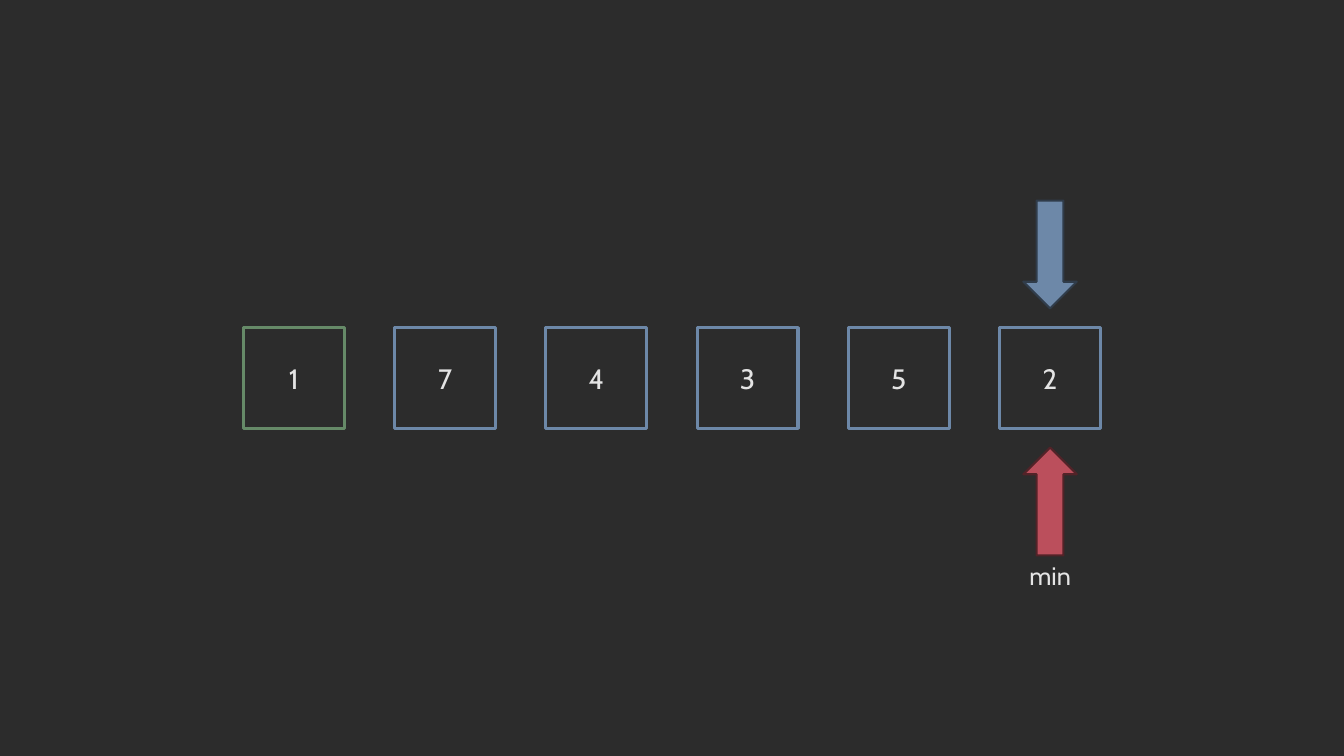
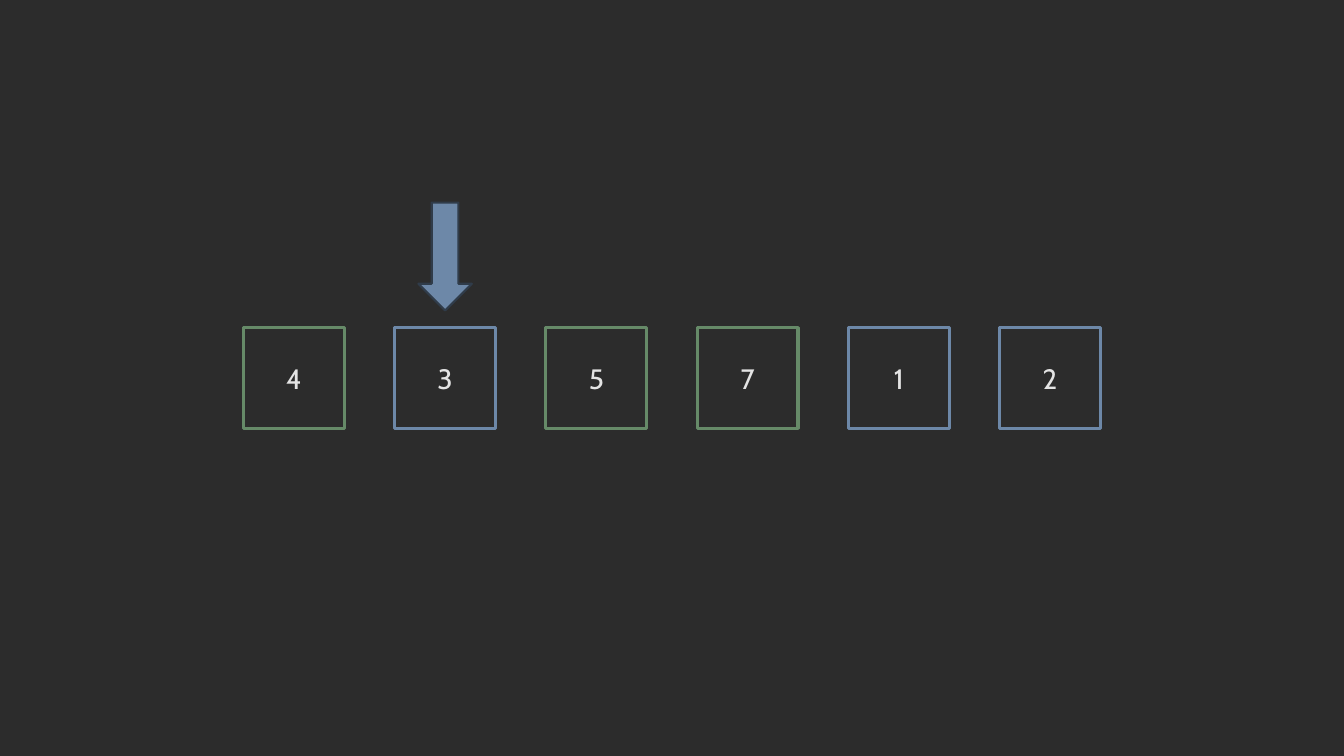
from pptx import Presentation
from pptx.dml.color import RGBColor
from pptx.enum import shapes, text
from pptx.util import Inches, Pt

DARK = RGBColor(0x2C, 0x2C, 0x2C)
LIGHT = RGBColor(0xE4, 0xE4, 0xE4)
BLUE = RGBColor(0x6D, 0x88, 0xA8)
BLUE_EDGE = RGBColor(0x30, 0x3C, 0x4A)
RED = RGBColor(0xBB, 0x4F, 0x5C)
RED_EDGE = RGBColor(0x52, 0x23, 0x28)
GREEN = RGBColor(0x66, 0x8A, 0x68)

FONT = "Cabin"
SLIDE_W, SLIDE_H = 13.33, 7.5
BOX, PITCH, COUNT = 1, 1.5, 6
ROW_LEFT = (SLIDE_W - (COUNT - 1) * PITCH - BOX) / 2
ROW_TOP = (SLIDE_H - BOX) / 2
ARROW_W, ARROW_H = 0.53, 1.07
LABEL_W, LABEL_H = 0.62, 0.4


def put_text(tf, content, size=20, wrap=True, anchor=text.MSO_ANCHOR.MIDDLE):
    tf.word_wrap = wrap
    tf.vertical_anchor = anchor
    p = tf.paragraphs[0]
    p.alignment = text.PP_ALIGN.CENTER
    r = p.add_run()
    r.text = content
    r.font.name = FONT
    r.font.size = Pt(size)
    r.font.color.rgb = LIGHT


def center_of(index):
    return ROW_LEFT + index * PITCH + BOX / 2


class Deck:
    def __init__(self):
        self.prs = Presentation()
        self.prs.slide_width = Inches(SLIDE_W)
        self.prs.slide_height = Inches(SLIDE_H)
        fill = self.prs.slide_master.background.fill
        fill.solid()
        fill.fore_color.rgb = DARK
        self.s = None

    def new_slide(self):
        self.s = self.prs.slides.add_slide(self.prs.slide_layouts[6])

    def shape(self, kind, x, y, w, h, line, weight, fill=None):
        sp = self.s.shapes.add_shape(kind, Inches(x), Inches(y), Inches(w), Inches(h))
        sp.shadow.inherit = False
        if fill is None:
            sp.fill.background()
        else:
            sp.fill.solid()
            sp.fill.fore_color.rgb = fill
        sp.line.color.rgb = line
        sp.line.width = Pt(weight)
        return sp

    def array(self, values, done):
        for i, value in enumerate(values):
            sp = self.shape(shapes.MSO_SHAPE.RECTANGLE, center_of(i) - BOX / 2, ROW_TOP,
                            BOX, BOX, GREEN if i in done else BLUE, 2.25)
            put_text(sp.text_frame, str(value))

    def arrow(self, kind, index, top, fill, edge):
        self.shape(kind, center_of(index) - ARROW_W / 2, top, ARROW_W, ARROW_H,
                   edge, 1.5, fill)

    def cursor(self, index, top):
        self.arrow(shapes.MSO_SHAPE.DOWN_ARROW, index, top, BLUE, BLUE_EDGE)

    def marker(self, index, top, label):
        self.arrow(shapes.MSO_SHAPE.UP_ARROW, index, top, RED, RED_EDGE)
        sp = self.s.shapes.add_textbox(Inches(center_of(index) - LABEL_W / 2),
                                       Inches(top + ARROW_H), Inches(LABEL_W), Inches(LABEL_H))
        put_text(sp.text_frame, label, size=18, wrap=False, anchor=text.MSO_ANCHOR.TOP)
        sp.text_frame.auto_size = text.MSO_AUTO_SIZE.SHAPE_TO_FIT_TEXT


def main():
    deck = Deck()

    deck.new_slide()
    deck.cursor(5, 1.99)
    deck.marker(5, 4.44, "min")
    deck.array([1, 7, 4, 3, 5, 2], done={0})

    deck.new_slide()
    deck.array([4, 3, 5, 7, 1, 2], done={0, 2, 3})
    deck.cursor(1, 2.01)

    deck.prs.save("out.pptx")


if __name__ == "__main__":
    main()
